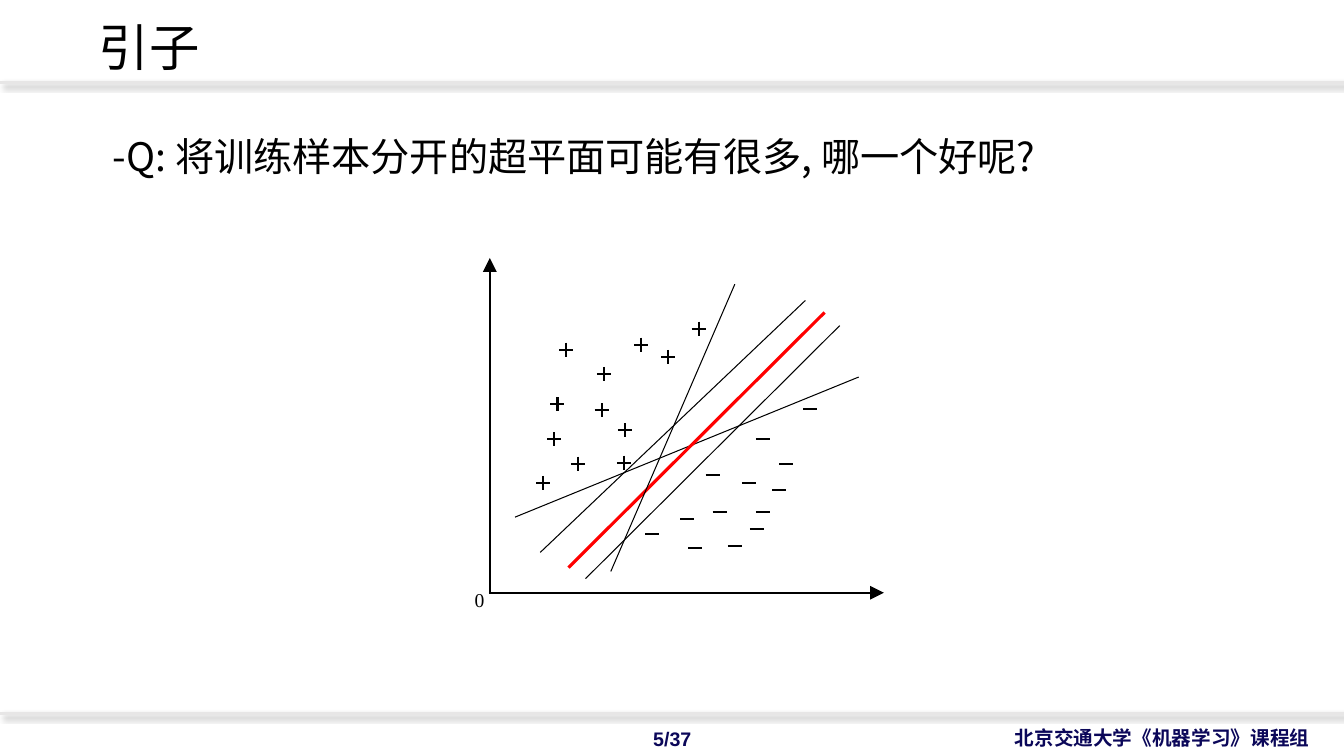
"""Build the slide that asks which separating hyperplane is best."""
from dataclasses import dataclass
from typing import Any

from lxml import etree
from pptx import Presentation
from pptx.dml import color
from pptx.enum import shapes, text
from pptx.oxml import ns
from pptx.util import Pt

HUES = {"ink": "000000", "red": "FF0000", "rule": "E7E6E6", "navy": "0B0759"}
HAN = "Noto Sans CJK SC"
ARM = 5


@dataclass(frozen=True)
class Line:
    """A straight line with its look."""
    x1: float
    y1: float
    x2: float
    y2: float
    width: float = 0.75
    hue: str = "ink"
    arrow: bool = False
    shade: bool = False


@dataclass(frozen=True)
class Label:
    """A text box with its look."""
    words: str
    x: float
    y: float
    w: float
    h: float
    align: text.PP_ALIGN
    face: str = "Arial"
    hue: str = "navy"
    bold: bool = True
    anchor: text.MSO_ANCHOR = text.MSO_ANCHOR.MIDDLE
    wrap: bool = True


RULES = [Line(0, y, 960, y, 2, "rule", shade=True) for y in (59, 509.8)]
AXES = [
    Line(349.9, 423.4, 349.9, 184.3, 1.5, arrow=True),
    Line(349.2, 423.4, 631.4, 423.4, 1.5, arrow=True),
]
PLANES = [
    Line(613.4, 269.3, 367.9, 369.4),
    Line(406.1, 405.4, 589, 223.2, 2.25, "red"),
    Line(524.9, 203, 436.3, 408.2),
    Line(599.8, 232.6, 418.3, 413.3),
    Line(575.3, 214.6, 385.9, 394.6),
]
PLUS = [
    (458, 246.2), (446.4, 307.4), (429.8, 293), (396, 313.9),
    (412.8, 331.2), (445.7, 330.5), (404.6, 249.8), (499, 234.7),
    (477.4, 254.9), (388.1, 344.9), (431.3, 267.1), (398.2, 288.7),
]
MINUS = [
    (556.6, 349.9), (509, 339.1), (496.8, 391.7), (465.8, 381.6),
    (540.7, 378), (545, 365.8), (491, 370.8), (561.6, 331.2),
    (514.1, 365.8), (524.9, 390.2), (535, 344.9), (545, 313.9),
    (578.9, 292.3),
]
LABELS = [
    Label("北京交通大学《机器学习》课程组", 639.4, 514.8, 303.1, 24.5,
          text.PP_ALIGN.RIGHT),
    Label("5/37", 435.6, 515.5, 89.3, 24.5, text.PP_ALIGN.CENTER),
    Label("0", 331.9, 416.2, 21.6, 24.5, text.PP_ALIGN.LEFT,
          "Times New Roman", "ink", False, text.MSO_ANCHOR.TOP, False),
]


def tint(hue: str) -> color.RGBColor:
    """Look up a named colour."""
    return color.RGBColor.from_string(HUES[hue])


def child(node: Any, tag: str, **attrs: str) -> Any:
    """Append a drawing element to a node."""
    return etree.SubElement(node, ns.qn(f"a:{tag}"), attrs)


def style(para: Any, face: str, size: float, hue: str, bold: bool = False) -> None:
    """Set the font of a whole paragraph."""
    font = para.font
    font.name, font.size, font.bold = face, Pt(size), bold
    font.color.rgb = tint(hue)
    child(para._p.pPr.find(ns.qn("a:defRPr")), "ea", typeface=HAN)


def place(shape: Any, x: float, y: float, w: float, h: float) -> None:
    """Move and size a shape."""
    shape.left, shape.top, shape.width, shape.height = map(Pt, (x, y, w, h))


def draw(tree: Any, line: Line) -> None:
    """Draw one line."""
    ends = map(Pt, (line.x1, line.y1, line.x2, line.y2))
    link = tree.add_connector(shapes.MSO_CONNECTOR.STRAIGHT, *ends)
    link.line.width = Pt(line.width)
    link.line.color.rgb = tint(line.hue)
    if line.arrow:
        child(link.line._get_or_add_ln(), "tailEnd", type="triangle", w="lg", len="lg")
    effect = child(link._element.spPr, "effectLst")
    if line.shade:
        shadow = child(effect, "outerShdw", blurRad=str(Pt(4)), dist=str(Pt(3)),
                       dir="2700000", algn="tl", rotWithShape="0")
        child(child(shadow, "srgbClr", val=HUES["ink"]), "alpha", val="40000")


def mark(tree: Any, x: float, y: float, plus: bool) -> None:
    """Draw one sample as a plus or a minus."""
    host = tree.add_group_shape().shapes if plus else tree
    draw(host, Line(x - ARM, y, x + ARM, y, 1.5))
    if plus:
        draw(host, Line(x, y - ARM, x, y + ARM, 1.5))


def write(tree: Any, label: Label) -> None:
    """Write one label."""
    box = tree.add_textbox(*map(Pt, (label.x, label.y, label.w, label.h)))
    frame = box.text_frame
    frame.word_wrap = label.wrap
    frame.vertical_anchor = label.anchor
    frame.text = label.words
    para = frame.paragraphs[0]
    para.alignment = label.align
    style(para, label.face, 14, label.hue, label.bold)


def fill(shape: Any, words: str, size: float, gap: float,
         anchor: text.MSO_ANCHOR) -> None:
    """Fill a placeholder with one plain paragraph."""
    frame = shape.text_frame
    frame.word_wrap = True
    frame.auto_size = text.MSO_AUTO_SIZE.NONE
    frame.vertical_anchor = anchor
    frame.text = words
    para = frame.paragraphs[0]
    para.alignment = text.PP_ALIGN.LEFT
    para.line_spacing, para.space_before = gap, Pt(0)
    props = para._p.get_or_add_pPr()
    props.set("marL", "0")
    props.set("indent", "0")
    child(props, "buNone")
    style(para, HAN, size, "ink")


def main() -> None:
    """Build and save the slide."""
    deck = Presentation()
    deck.slide_width, deck.slide_height = Pt(960), Pt(540)
    slide = deck.slides.add_slide(deck.slide_layouts[1])
    tree = slide.shapes
    head, body = tree.title, slide.placeholders[1]
    place(head, 63.4, -16.6, 828, 104.4)
    fill(head, "引子", 36, 0.9, text.MSO_ANCHOR.MIDDLE)
    place(body, 73.4, 95, 678.2, 70)
    fill(body, "-Q: 将训练样本分开的超平面可能有很多, 哪一个好呢?", 28, 0.9,
         text.MSO_ANCHOR.TOP)
    for line in RULES + AXES + PLANES:
        draw(tree, line)
    for spots, plus in ((PLUS, True), (MINUS, False)):
        for x, y in spots:
            mark(tree, x, y, plus)
    for label in LABELS:
        write(tree, label)
    deck.save("out.pptx")


if __name__ == "__main__":
    main()
